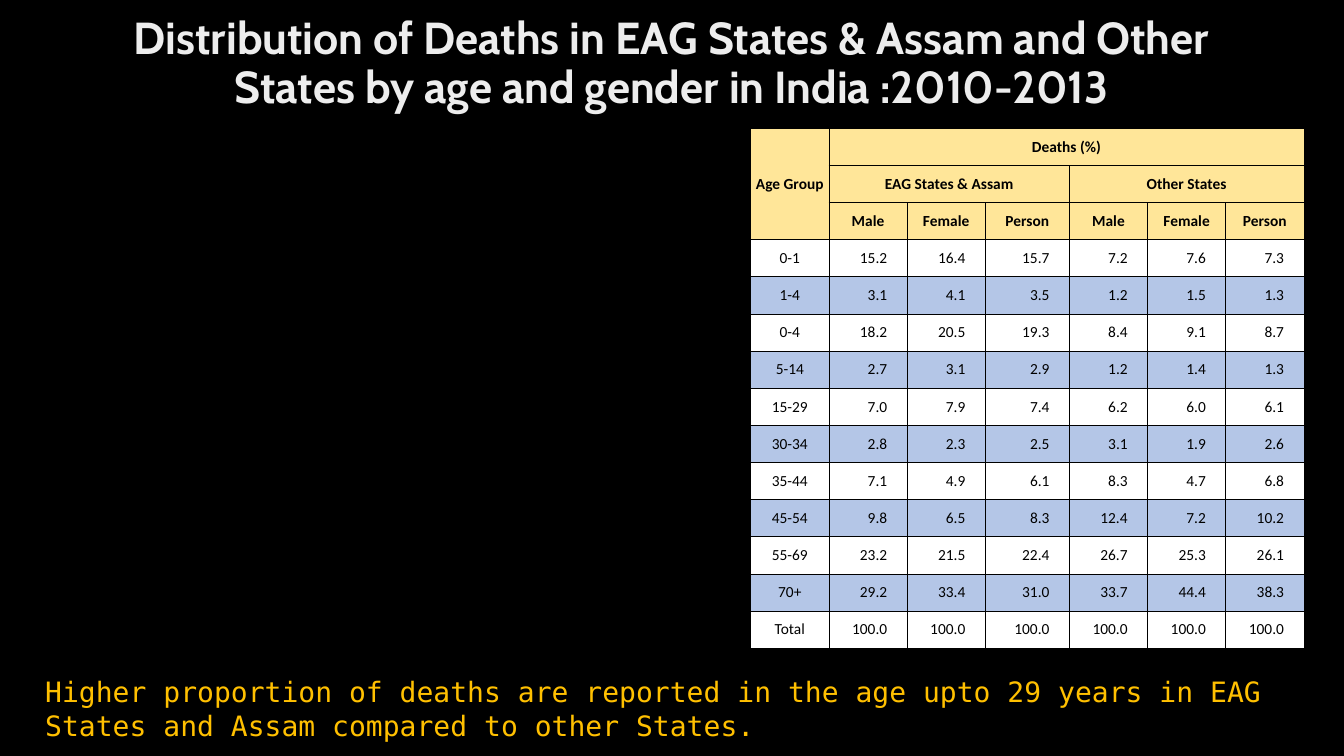
import pptx
import pptx.dml.color
import pptx.enum.text
import pptx.oxml
import pptx.oxml.ns
import pptx.util
from pptx.util import Cm

ALIGN = pptx.enum.text.PP_ALIGN
MIDDLE = pptx.enum.text.MSO_ANCHOR.MIDDLE
HEADER_ROWS = 3
TITLE = ("Distribution of Deaths in EAG States & Assam and Other States "
         "by age and gender in India :2010-2013")
FINDING = ("Higher proportion of deaths are reported in the age upto 29 years "
           "in EAG States and Assam compared to other States.")
GENDERS = ["Male", "Female", "Person"]
DEATHS = [
    ["Age Group", "Deaths (%)", "", "", "", "", ""],
    ["", "EAG States & Assam", "", "", "Other States", "", ""],
    ["", *GENDERS, *GENDERS],
    ["0-1", "15.2", "16.4", "15.7", "7.2", "7.6", "7.3"],
    ["1-4", "3.1", "4.1", "3.5", "1.2", "1.5", "1.3"],
    ["0-4", "18.2", "20.5", "19.3", "8.4", "9.1", "8.7"],
    ["5-14", "2.7", "3.1", "2.9", "1.2", "1.4", "1.3"],
    ["15-29", "7.0", "7.9", "7.4", "6.2", "6.0", "6.1"],
    ["30-34", "2.8", "2.3", "2.5", "3.1", "1.9", "2.6"],
    ["35-44", "7.1", "4.9", "6.1", "8.3", "4.7", "6.8"],
    ["45-54", "9.8", "6.5", "8.3", "12.4", "7.2", "10.2"],
    ["55-69", "23.2", "21.5", "22.4", "26.7", "25.3", "26.1"],
    ["70+", "29.2", "33.4", "31.0", "33.7", "44.4", "38.3"],
    ["Total"] + ["100.0"] * 6,
]
MERGES = [(0, 0, 2, 0), (0, 1, 0, 6), (1, 1, 1, 3), (1, 4, 1, 6)]


def colour(value):
    return pptx.dml.color.RGBColor.from_string(value)


def style_text(frame, text, font, size, ink, bold=False, align=ALIGN.LEFT):
    frame.text = text
    para = frame.paragraphs[0]
    para.alignment = align
    for span in para.runs:
        span.font.name = font
        span.font.size = pptx.util.Pt(size)
        span.font.bold = bold
        span.font.color.rgb = colour(ink)
    return para


def add_text(page, left, top, width, height):
    box = page.shapes.add_textbox(Cm(left), Cm(top), Cm(width), Cm(height))
    box.text_frame.word_wrap = True
    return box.text_frame


def shade_text(span, stops, angle):
    span.font.fill.gradient()
    span.font.fill.gradient_angle = 360 - angle
    stop_list = span.font.fill._xPr.find(".//" + pptx.oxml.ns.qn("a:gsLst"))
    for stop in list(stop_list):
        stop_list.remove(stop)
    for percent, value in stops:
        stop_list.append(pptx.oxml.parse_xml(
            f'<a:gs {pptx.oxml.ns.nsdecls("a")} pos="{percent * 1000}">'
            f'<a:srgbClr val="{value}"/></a:gs>'))


def add_title(page):
    frame = add_text(page, 2.33, 0.05, 29.21, 3.15)
    frame.vertical_anchor = MIDDLE
    para = style_text(frame, TITLE, "Cabin", 32, "EDEDED", True, ALIGN.CENTER)
    para.line_spacing = 0.9
    shade_text(para.runs[0], [(0, "BFBFBF"), (28, "EDEDED"), (100, "FFFFFF")], 80)


def outline_cell(cell):
    properties = cell._tc.get_or_add_tcPr()
    for side in "LRTB":
        properties.append(pptx.oxml.parse_xml(
            f'<a:ln{side} {pptx.oxml.ns.nsdecls("a")} w="6350"><a:solidFill>'
            f'<a:srgbClr val="000000"/></a:solidFill></a:ln{side}>'))


def fill_cell(cell, row, column, text):
    header = row < HEADER_ROWS
    figure = not header and column > 0
    outline_cell(cell)
    cell.fill.solid()
    band = "FFFFFF" if row % 2 else "B4C6E7"
    cell.fill.fore_color.rgb = colour("FFE699" if header else band)
    cell.margin_left = cell.margin_top = cell.margin_bottom = 0
    cell.margin_right = Cm(0.5 if figure else 0)
    cell.vertical_anchor = MIDDLE
    style_text(cell.text_frame, text, "Calibri", 11, "000000", header,
               ALIGN.RIGHT if figure else ALIGN.CENTER)


def add_deaths_table(page):
    height = 13.11
    widths = [1.97, 1.97, 1.97, 2.12, 1.97, 1.97, 1.97]
    table = page.shapes.add_table(len(DEATHS), len(widths), Cm(18.92), Cm(3.23),
                                  Cm(sum(widths)), Cm(height)).table
    for column, width in zip(table.columns, widths):
        column.width = Cm(width)
    for row in table.rows:
        row.height = Cm(height / len(DEATHS))
    for row, texts in enumerate(DEATHS):
        for column, text in enumerate(texts):
            fill_cell(table.cell(row, column), row, column, text)
    for top, left, bottom, right in MERGES:
        table.cell(top, left).merge(table.cell(bottom, right))


def main():
    deck = pptx.Presentation()
    deck.slide_width, deck.slide_height = Cm(33.87), Cm(19.05)
    page = deck.slides.add_slide(deck.slide_layouts[6])
    page.background.fill.solid()
    page.background.fill.fore_color.rgb = colour("000000")
    add_title(page)
    add_deaths_table(page)
    finding = add_text(page, 0.89, 16.87, 32.21, 1.96)
    style_text(finding, FINDING, "DejaVu Sans Mono", 20, "FFC000")
    deck.save("out.pptx")


if __name__ == "__main__":
    main()
